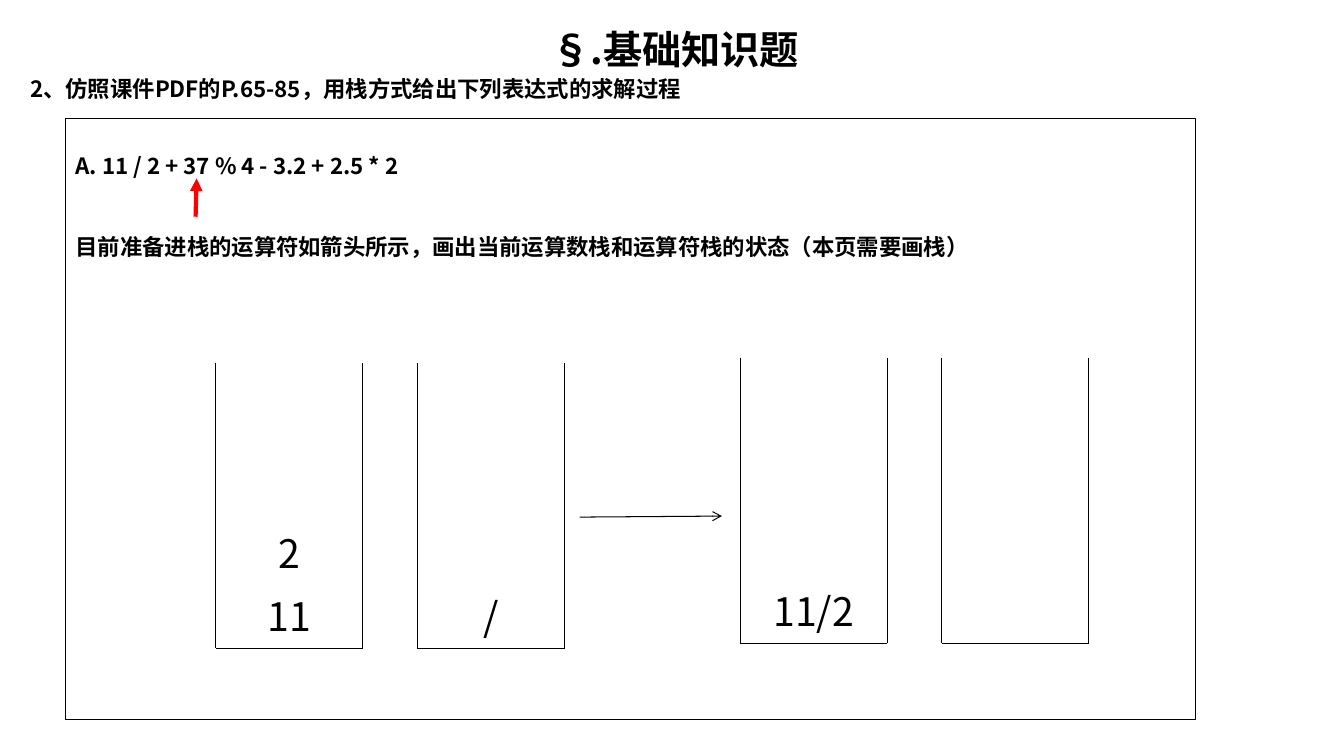
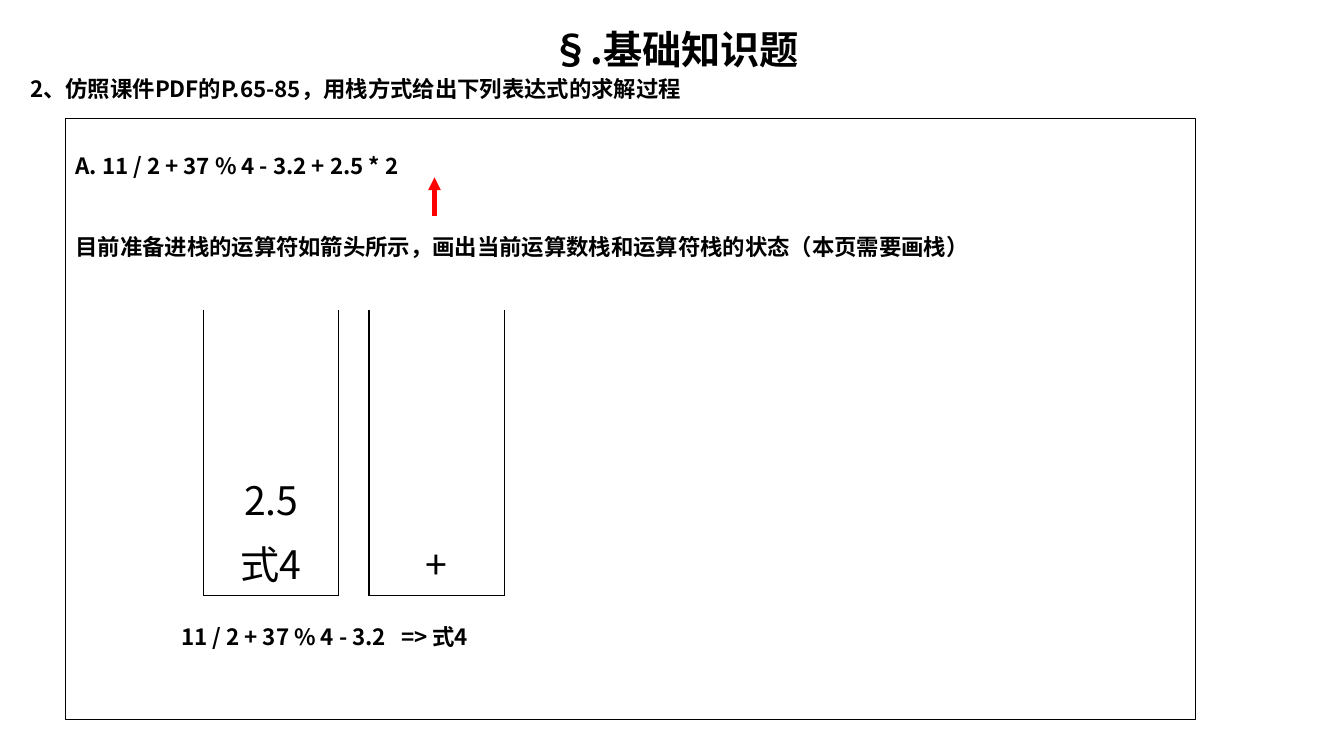
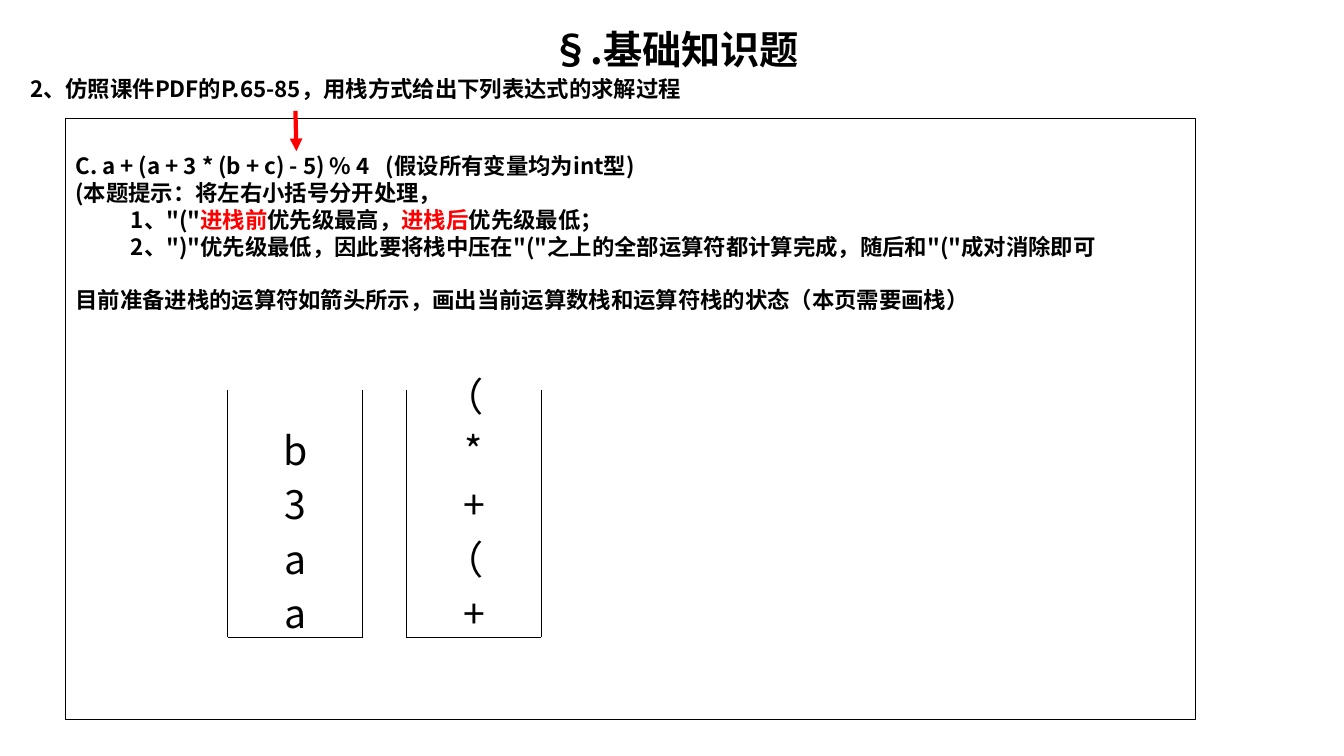
from lxml.etree import SubElement
from pptx import Presentation
from pptx.dml.color import RGBColor
from pptx.enum.shapes import MSO_CONNECTOR, MSO_SHAPE
from pptx.enum.text import MSO_ANCHOR, MSO_AUTO_SIZE, PP_ALIGN
from pptx.oxml.ns import qn
from pptx.util import Inches, Pt

FONT = "Noto Sans CJK SC"
BLACK, RED = "000000", "FF0000"
TITLE_SIZE, BODY_SIZE, ENTRY_SIZE = 28, 16, 28
LINE_FACTOR = 1.2
ENTRY_HEIGHT = 0.57
PANEL_BOX = (0.65, 1.18, 11.21, 5.96)

HEADING = "§.基础知识题"
QUESTION = "2、仿照课件PDF的P.65-85，用栈方式给出下列表达式的求解过程"
EXPRESSION_A = "A. 11 / 2 + 37 % 4 - 3.2 + 2.5 * 2"
TASK = "目前准备进栈的运算符如箭头所示，画出当前运算数栈和运算符栈的状态（本页需要画栈）"


def color(hex_text):
    return RGBColor.from_string(hex_text)


def inches(box):
    return [Inches(length) for length in box]


def style(paragraph, size, bold=False, align=PP_ALIGN.LEFT):
    paragraph.alignment = align
    paragraph.line_spacing = Pt(round(size * LINE_FACTOR, 1))
    paragraph.space_before = paragraph.space_after = Pt(0)
    for run in paragraph.runs:
        font = run.font
        font.size, font.bold, font.name = Pt(size), bold, FONT
        font.color.rgb = color(BLACK)
        SubElement(font._element, qn("a:ea"), typeface=FONT)


def add_tab(paragraph, position):
    tabs = SubElement(paragraph._p.get_or_add_pPr(), qn("a:tabLst"))
    SubElement(tabs, qn("a:tab"), pos=str(Inches(position)), algn="l")


def add_text(shapes, box, text, size, bold=False, align=PP_ALIGN.LEFT, tab=None):
    frame = shapes.add_textbox(*inches(box)).text_frame
    frame.word_wrap = True
    frame.text = text
    paragraph = frame.paragraphs[0]
    if tab:
        add_tab(paragraph, tab)
    style(paragraph, size, bold, align)


def add_line(shapes, start, end, line_color=BLACK, width=0.75, head=None):
    connector = shapes.add_connector(
        MSO_CONNECTOR.STRAIGHT, *inches(start), *inches(end))
    connector.line.color.rgb = color(line_color)
    connector.line.width = Pt(width)
    if head:
        SubElement(connector.line._get_or_add_ln(), qn("a:tailEnd"), type=head)
    SubElement(connector._element.spPr, qn("a:effectLst"))


def add_pointer(slide, start, end):
    """Red arrow marking the operator about to be pushed."""
    add_line(slide.shapes, start, end, RED, 3, "triangle")


def add_panel(slide, box, paragraphs):
    """Framed exercise; paragraphs are (text, blank lines before, indent, tab)."""
    panel = slide.shapes.add_shape(MSO_SHAPE.RECTANGLE, *inches(box))
    panel.shadow.inherit = False
    panel.fill.background()
    panel.line.color.rgb = color(BLACK)
    panel.line.width = Pt(0.75)
    frame = panel.text_frame
    frame.word_wrap = True
    frame.vertical_anchor = MSO_ANCHOR.TOP
    frame.margin_top = Inches(0.33)
    for index, (text, gap, indent, tab) in enumerate(paragraphs):
        paragraph = frame.add_paragraph() if index else frame.paragraphs[0]
        pieces = text if isinstance(text, list) else [text]
        for piece in pieces:
            paragraph.add_run().text = piece
        if indent:
            paragraph._p.get_or_add_pPr().set("marL", str(Inches(indent)))
        if tab:
            add_tab(paragraph, tab)
        style(paragraph, BODY_SIZE, bold=True)
        paragraph.space_before = Pt(gap * BODY_SIZE * LINE_FACTOR)
        for emphasis in paragraph.runs[1::2]:
            emphasis.font.color.rgb = color(RED)


def add_stack(slide, box, entries, pitch, base):
    """Open-topped stack; entries run from the bottom up, base is the lowest entry's rise."""
    left, top, width, height = box
    right, floor = left + width, top + height
    shapes = slide.shapes.add_group_shape().shapes
    corners = [(left, top), (left, floor), (right, floor), (right, top)]
    for start, end in zip(corners, corners[1:]):
        add_line(shapes, start, end)
    for level, entry in enumerate(entries):
        shift = -0.1 if entry == "（" else 0
        entry_box = (left + shift, floor - base - level * pitch + 0.02,
                     width, ENTRY_HEIGHT)
        add_text(shapes, entry_box, entry, ENTRY_SIZE, align=PP_ALIGN.CENTER)


def add_stack_pair(slide, box, step, operands, operators, pitch=0.63, base=0.62):
    left, *rest = box
    for index, entries in enumerate((operands, operators)):
        add_stack(slide, (left + index * step, *rest), entries, pitch, base)


def add_exercise_slide(prs, paragraphs):
    slide = prs.slides.add_slide(prs.slide_layouts[5])
    title = slide.shapes.title
    title.left, title.top, title.width, title.height = inches((0.2, 0.2, 12.99, 0.57))
    frame = title.text_frame
    frame.text = HEADING
    frame.auto_size = MSO_AUTO_SIZE.NONE
    frame.vertical_anchor = MSO_ANCHOR.TOP
    style(frame.paragraphs[0], TITLE_SIZE, True, PP_ALIGN.CENTER)
    add_text(slide.shapes, (0.2, 0.7, 12.99, 0.37), QUESTION, BODY_SIZE, bold=True)
    add_panel(slide, PANEL_BOX, paragraphs)
    return slide


def main():
    prs = Presentation()
    prs.slide_width, prs.slide_height = Inches(13.33), Inches(7.5)
    exercise_a = [(EXPRESSION_A, 0, 0, None), (TASK, 2, 0, None)]
    exercise_c = [
        ("C. a + (a + 3 * (b + c) - 5) % 4\t(假设所有变量均为int型)", 0, 0, 3.08),
        ("(本题提示：将左右小括号分开处理，", 0, 0, None),
        (["1、\"(\"", "进栈前", "优先级最高，", "进栈后", "优先级最低；"], 0, 0.55, None),
        ("2、\")\"优先级最低，因此要将栈中压在\"(\"之上的全部运算符都计算完成，"
         "随后和\"(\"成对消除即可", 0, 0.55, None),
        (TASK, 1, 0, None),
    ]

    division = add_exercise_slide(prs, exercise_a)
    add_pointer(division, (1.94, 2.15), (1.95, 1.77))
    add_stack_pair(division, (2.14, 3.6, 1.46, 2.83), 2, ["11", "2"], ["/"])
    add_stack_pair(division, (7.34, 3.55, 1.46, 2.83), 2, ["11/2"], [])
    add_line(division.shapes, (5.75, 5.13), (7.16, 5.12), head="arrow")

    product = add_exercise_slide(prs, exercise_a)
    add_pointer(product, (4.31, 2.14), (4.31, 1.76))
    add_stack_pair(product, (2.02, 3.08, 1.34, 2.83), 1.64, ["式4", "2.5"], ["+"])
    add_text(product.shapes, (1.7, 6.13, 6.67, 0.37),
             "11 / 2 + 37 % 4 - 3.2\t=> 式4", BODY_SIZE, bold=True, tab=2.18)

    brackets = add_exercise_slide(prs, exercise_c)
    add_pointer(brackets, (2.93, 1.1), (2.94, 1.5))
    add_stack_pair(brackets, (2.26, 3.87, 1.34, 2.45), 1.77,
                   ["a", "a", "3", "b"], ["+", "（", "+", "*", "（"], 0.54, 0.54)

    prs.save("out.pptx")


if __name__ == "__main__":
    main()
